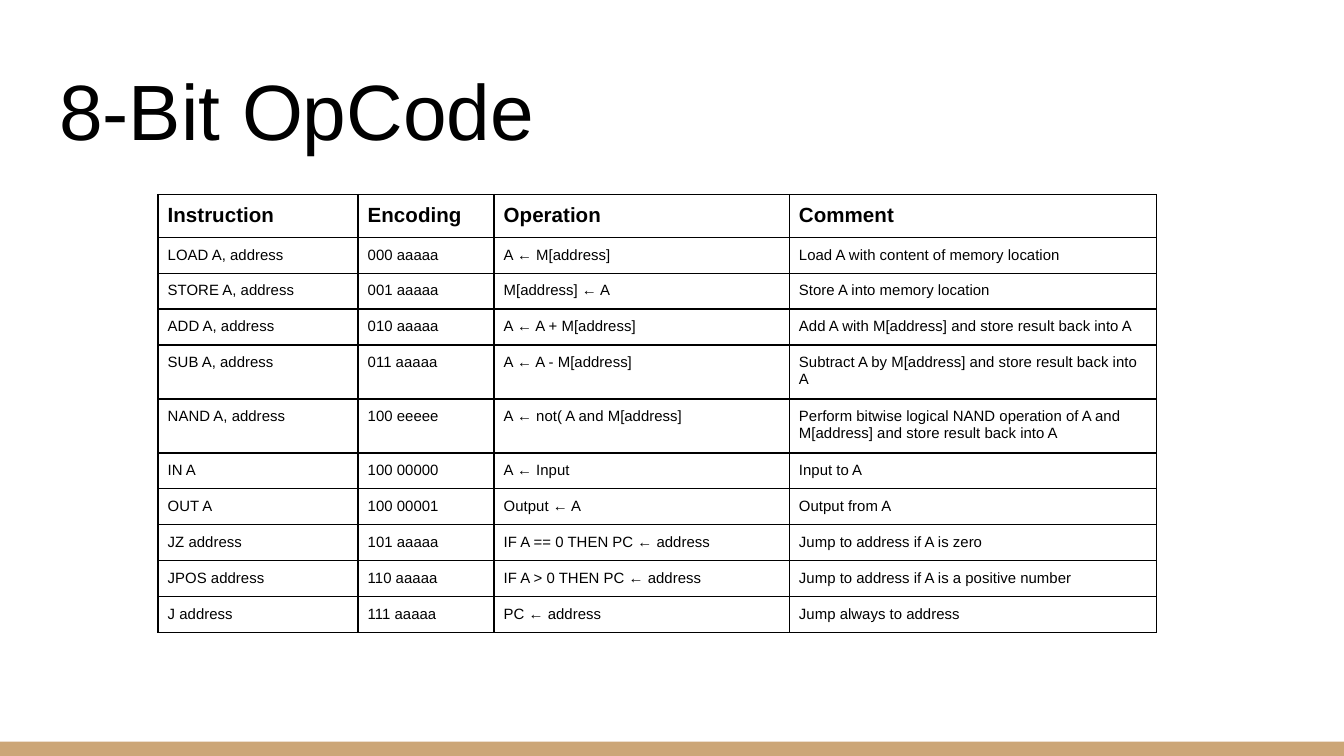
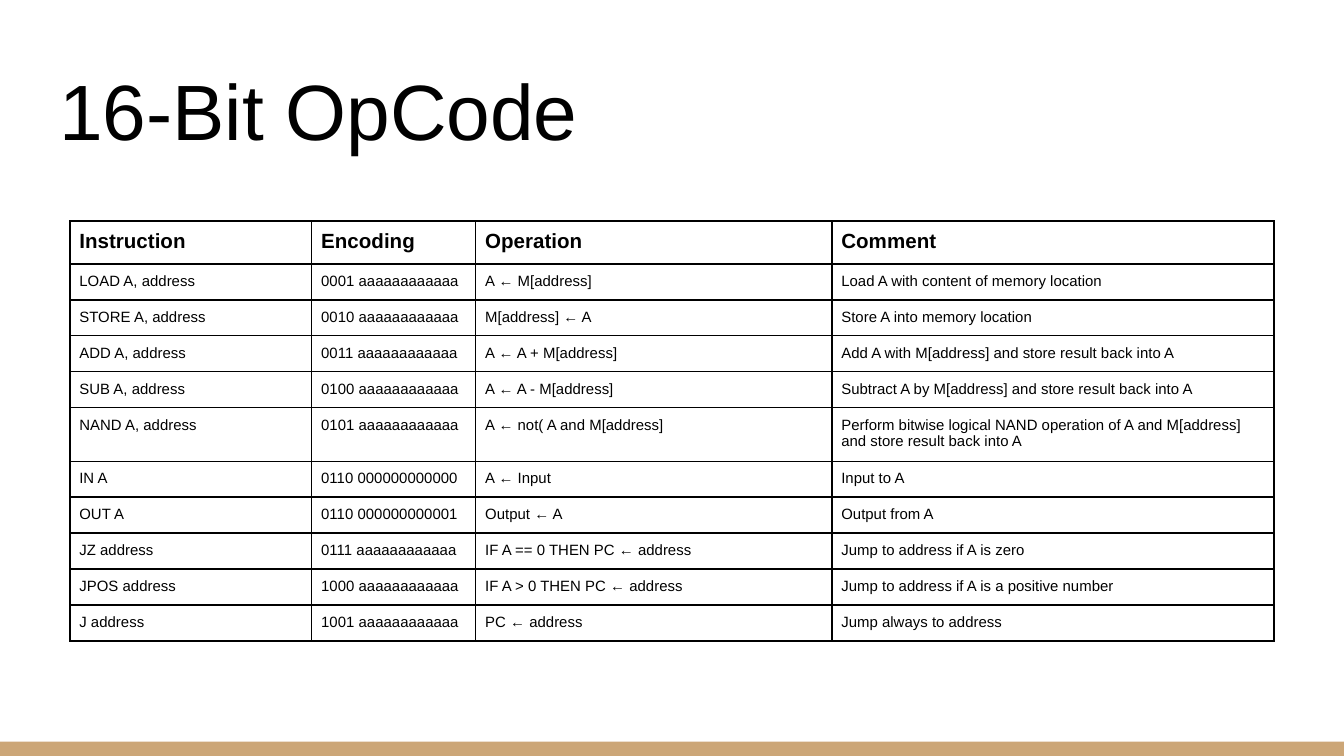
from dataclasses import dataclass

from lxml import etree
from pptx import Presentation
from pptx.dml.color import RGBColor
from pptx.enum.shapes import MSO_SHAPE
from pptx.enum.text import MSO_ANCHOR
from pptx.oxml.ns import qn
from pptx.presentation import Presentation as Deck
from pptx.slide import Slide
from pptx.table import _Cell
from pptx.text.text import TextFrame
from pptx.util import Cm, Pt

RECTANGLE = MSO_SHAPE.RECTANGLE
ANCHOR_TOP = MSO_ANCHOR.TOP
ANCHOR_BOTTOM = MSO_ANCHOR.BOTTOM
BLANK_LAYOUT = 6


@dataclass(frozen=True)
class Theme:
    font: str = "Arial"
    text: str = "000000"
    border: str = "000000"
    background: str = "FFFFFF"
    band: str = "CCA677"
    title_size: int = 42
    header_size: int = 11
    body_size: int = 8
    border_width: int = 1


@dataclass(frozen=True)
class OpcodeTable:
    """One slide's title, table position, column widths (cm) and encodings."""
    title: str
    left: float
    top: float
    column_widths: tuple[float, ...]
    encodings: tuple[str, ...]


THEME = Theme()
SLIDE_WIDTH, SLIDE_HEIGHT = Cm(25.4), Cm(14.29)
BAND_HEIGHT = Cm(0.27)
HEADER_HEIGHT, ROW_HEIGHT = Cm(0.79), Cm(0.67)
CELL_MARGIN_X, CELL_MARGIN_Y = Cm(0.18), Cm(0.17)
TITLE_MARGIN = Cm(0.25)

HEADER = ("Instruction", "Encoding", "Operation", "Comment")

# Instruction, operation, comment: the same for both word lengths
INSTRUCTIONS = (
    ("LOAD A, address", "A ← M[address]", "Load A with content of memory location"),
    ("STORE A, address", "M[address] ← A", "Store A into memory location"),
    ("ADD A, address", "A ← A + M[address]",
     "Add A with M[address] and store result back into A"),
    ("SUB A, address", "A ← A - M[address]",
     "Subtract A by M[address] and store result back into A"),
    ("NAND A, address", "A ← not( A and M[address]",
     "Perform bitwise logical NAND operation of A and M[address] "
     "and store result back into A"),
    ("IN A", "A ← Input", "Input to A"),
    ("OUT A", "Output ← A", "Output from A"),
    ("JZ address", "IF A == 0 THEN PC ← address", "Jump to address if A is zero"),
    ("JPOS address", "IF A > 0 THEN PC ← address",
     "Jump to address if A is a positive number"),
    ("J address", "PC ← address", "Jump always to address"),
)

OPCODE_TABLES = (
    OpcodeTable(
        "8-Bit OpCode", 2.99, 3.68, (3.78, 2.57, 5.58, 6.94),
        ("000 aaaaa", "001 aaaaa", "010 aaaaa", "011 aaaaa", "100 eeeee",
         "100 00000", "100 00001", "101 aaaaa", "110 aaaaa", "111 aaaaa"),
    ),
    OpcodeTable(
        "16-Bit OpCode", 1.32, 4.18, (4.57, 3.1, 6.73, 8.36),
        ("0001 aaaaaaaaaaaa", "0010 aaaaaaaaaaaa", "0011 aaaaaaaaaaaa",
         "0100 aaaaaaaaaaaa", "0101 aaaaaaaaaaaa", "0110 000000000000",
         "0110 000000000001", "0111 aaaaaaaaaaaa", "1000 aaaaaaaaaaaa",
         "1001 aaaaaaaaaaaa"),
    ),
)


def write_text(text_frame: TextFrame, text: str, size: int, bold: bool = False) -> None:
    text_frame.text = text
    for run in text_frame.paragraphs[0].runs:
        run.font.name = THEME.font
        run.font.size = Pt(size)
        run.font.bold = bold
        run.font.color.rgb = RGBColor.from_string(THEME.text)


def add_slide(presentation: Deck) -> Slide:
    """Add a slide with the shared background and bottom band."""
    slide = presentation.slides.add_slide(presentation.slide_layouts[BLANK_LAYOUT])
    slide.background.fill.solid()
    slide.background.fill.fore_color.rgb = RGBColor.from_string(THEME.background)
    band = slide.shapes.add_shape(
        RECTANGLE, 0, SLIDE_HEIGHT - BAND_HEIGHT, SLIDE_WIDTH, BAND_HEIGHT)
    band.shadow.inherit = False
    band.fill.solid()
    band.fill.fore_color.rgb = RGBColor.from_string(THEME.band)
    band.line.fill.background()
    return slide


def add_title(slide: Slide, title: str) -> None:
    box = slide.shapes.add_textbox(Cm(0.87), Cm(0.89), Cm(23.67), Cm(2.31))
    frame = box.text_frame
    frame.word_wrap = True
    frame.vertical_anchor = ANCHOR_BOTTOM
    frame.margin_left = frame.margin_right = TITLE_MARGIN
    frame.margin_top = frame.margin_bottom = TITLE_MARGIN
    write_text(frame, title, THEME.title_size)


def set_borders(cell: _Cell) -> None:
    properties = cell._tc.get_or_add_tcPr()
    for side in ("a:lnL", "a:lnR", "a:lnT", "a:lnB"):
        line = etree.SubElement(properties, qn(side), w=str(Pt(THEME.border_width)))
        fill = etree.SubElement(line, qn("a:solidFill"))
        etree.SubElement(fill, qn("a:srgbClr"), val=THEME.border)


def format_cell(cell: _Cell, text: str, is_header: bool) -> None:
    cell.margin_left = cell.margin_right = CELL_MARGIN_X
    cell.margin_top = cell.margin_bottom = CELL_MARGIN_Y
    cell.vertical_anchor = ANCHOR_TOP
    set_borders(cell)
    cell.fill.background()
    size = THEME.header_size if is_header else THEME.body_size
    write_text(cell.text_frame, text, size, bold=is_header)


def add_opcode_table(slide: Slide, opcodes: OpcodeTable) -> None:
    rows = [HEADER] + [
        (instruction, encoding, operation, comment)
        for (instruction, operation, comment), encoding
        in zip(INSTRUCTIONS, opcodes.encodings)
    ]
    table = slide.shapes.add_table(
        len(rows), len(HEADER), Cm(opcodes.left), Cm(opcodes.top),
        Cm(sum(opcodes.column_widths)),
        HEADER_HEIGHT + ROW_HEIGHT * len(INSTRUCTIONS)).table
    table.first_row = False
    table.horz_banding = False
    for column, width in zip(table.columns, opcodes.column_widths):
        column.width = Cm(width)
    for row_index, texts in enumerate(rows):
        is_header = row_index == 0
        table.rows[row_index].height = HEADER_HEIGHT if is_header else ROW_HEIGHT
        for column_index, text in enumerate(texts):
            format_cell(table.cell(row_index, column_index), text, is_header)


def main() -> None:
    presentation = Presentation()
    presentation.slide_width = SLIDE_WIDTH
    presentation.slide_height = SLIDE_HEIGHT
    for opcodes in OPCODE_TABLES:
        slide = add_slide(presentation)
        add_title(slide, opcodes.title)
        add_opcode_table(slide, opcodes)
    presentation.save("out.pptx")


if __name__ == "__main__":
    main()
